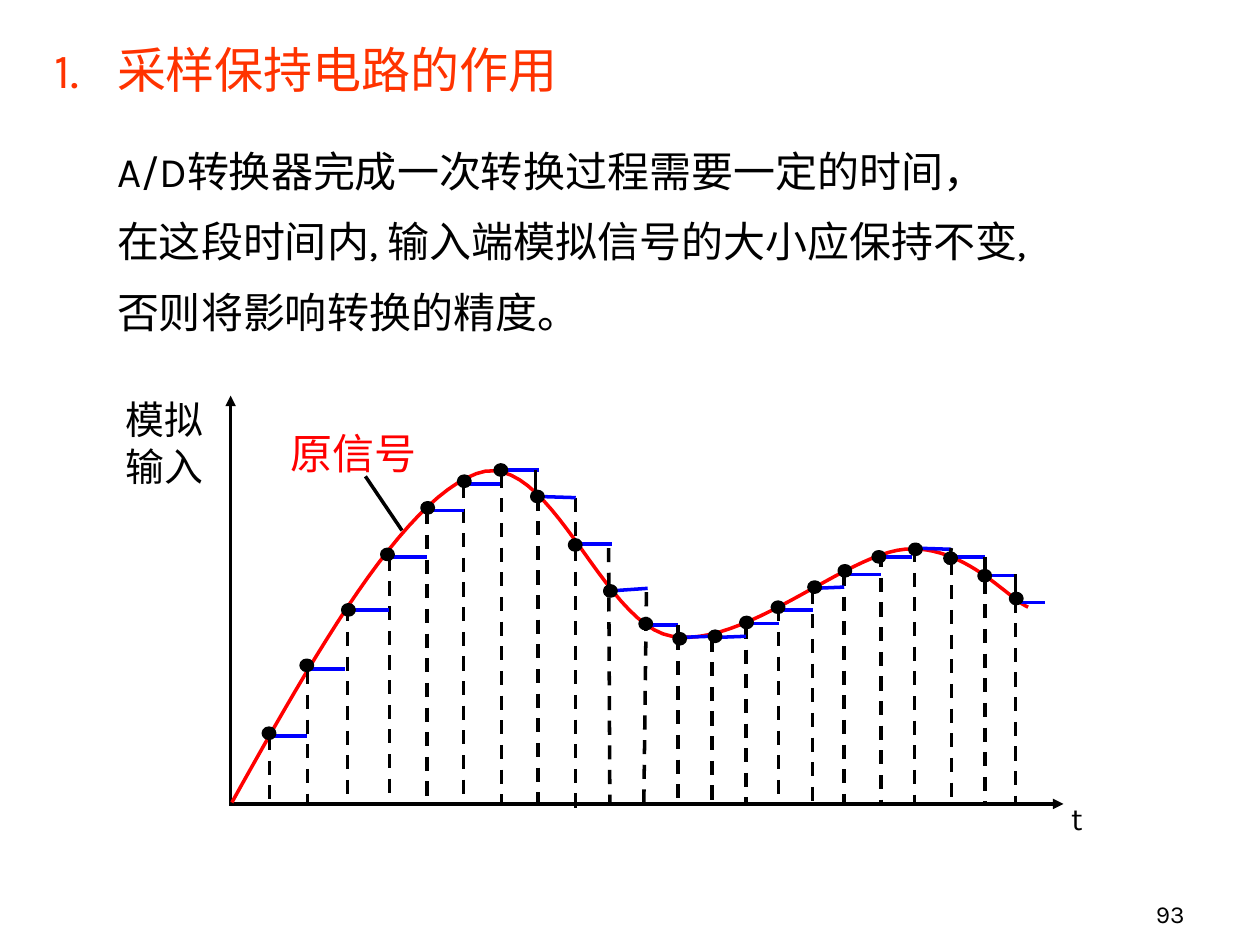
from lxml.etree import SubElement
from pptx import Presentation
from pptx.dml.color import RGBColor
from pptx.enum.dml import MSO_LINE
from pptx.enum.shapes import MSO_CONNECTOR, MSO_SHAPE
from pptx.enum.text import MSO_ANCHOR, PP_ALIGN
from pptx.oxml.ns import qn
from pptx.util import Pt

BLACK = RGBColor(0, 0, 0)
ORANGE = RGBColor(0xFF, 0x33, 0x00)
RED = RGBColor(0xFF, 0, 0)
BLUE = RGBColor(0, 0, 0xFF)
FONT = "Karla"
DOT_W, DOT_H = 6.5, 5.8

# Each sample: dot centre, dashed drop line, held level (lines as x1, y1, x2, y2)
SAMPLES = [
    ((153.7, 419.0), (154.1, 420.5, 154.1, 459.4), (154.1, 420.5, 175.7, 420.5)),
    ((175.3, 380.2), (175.7, 383.0, 175.7, 459.4), (174.2, 382.3, 197.3, 382.3)),
    ((199.1, 348.5), (198.7, 347.0, 198.7, 459.4), (198.7, 348.5, 222.5, 348.5)),
    ((221.4, 316.8), (222.5, 318.2, 222.5, 458.6), (221.0, 318.2, 244.1, 318.2)),
    ((244.4, 290.2), (244.1, 291.6, 244.1, 458.6), (244.1, 291.6, 265.0, 291.6)),
    ((265.3, 275.0), (265.0, 276.5, 265.0, 458.6), (265.0, 276.5, 285.8, 276.5)),
    ((286.2, 268.6), (286.6, 270.7, 286.6, 458.6), (286.6, 268.6, 308.2, 268.6)),
    ((307.1, 283.7), (307.4, 283.7, 307.4, 459.4), (307.4, 283.7, 329.0, 284.4)),
    ((328.7, 311.4), (329.0, 284.4, 329.0, 461.5), (329.0, 311.0, 349.9, 311.0)),
    ((348.8, 337.7), (347.8, 313.2, 348.5, 459.4), (348.5, 337.7, 370.1, 336.2)),
    ((369.0, 356.4), (369.4, 338.4, 367.9, 461.5), (367.9, 357.1, 387.4, 357.1)),
    ((388.4, 365.0), (387.4, 363.6, 387.4, 457.2), (387.4, 364.3, 406.1, 363.6)),
    ((408.6, 363.6), (406.8, 364.3, 406.8, 458.6), (408.2, 364.3, 426.2, 363.6)),
    ((426.6, 355.7), (426.2, 357.1, 426.2, 458.6), (426.2, 356.4, 445.0, 356.4)),
    ((444.6, 347.0), (445.0, 347.0, 445.0, 457.2), (443.5, 348.5, 464.4, 348.5)),
    ((465.5, 335.5), (464.4, 337.0, 464.4, 458.6), (465.1, 336.2, 482.4, 335.5)),
    ((482.8, 326.2), (482.4, 326.9, 482.4, 459.4), (481.7, 328.3, 503.3, 328.3)),
    ((502.2, 318.2), (503.3, 316.1, 503.3, 459.4), (502.6, 318.2, 521.3, 318.2)),
    ((523.1, 313.9), (522.7, 313.2, 522.7, 459.4), (522.7, 313.2, 543.6, 313.9)),
    ((543.2, 319.0), (543.6, 320.4, 543.6, 458.6), (543.6, 318.2, 563.0, 318.2)),
    ((562.7, 329.0), (563.0, 331.2, 563.0, 458.6), (561.6, 329.0, 581.0, 329.0)),
    ((580.7, 342.0), (580.3, 342.0, 580.3, 458.6), (581.0, 344.2, 596.9, 344.2)),
]
STEPS = [
    (306.0, 268.6, 306.0, 284.4),
    (387.4, 357.1, 387.4, 365.8),
    (563.0, 318.2, 563.0, 329.0),
    (543.6, 313.2, 542.2, 322.6),
    (580.3, 328.3, 580.3, 342.7),
]
AXES = [(131, 459.4, 607.7, 459.4), (131.8, 458.6, 131.8, 226.1)]
LEADER = (208.8, 272.2, 229.7, 303.1)

SIGNAL_START = (132.5, 458.6)
SIGNAL_CURVES = [  # two control points and an end point each
    ((180.7, 372.2), (229.7, 286.6), (272.2, 270.7)),
    ((313.9, 254.9), (343.4, 356.4), (383.8, 363.6)),
    ((424.8, 370.8), (483.1, 316.8), (517.0, 313.9)),
    ((550.8, 311.0), (576.0, 342.0), (587.5, 347.0)),
]
CURVE_STEPS = 24


def add_line(ends, color=BLACK):
    s = shapes.add_connector(MSO_CONNECTOR.STRAIGHT, *[Pt(v) for v in ends])
    s.line.color.rgb = color
    s.line.width = Pt(2)
    SubElement(s._element.spPr, qn("a:effectLst"))
    return s


def add_text(box, lines, inset=(0, 0), align=PP_ALIGN.LEFT):
    """Add a text box; each line is (text, size, colour)."""
    tf = shapes.add_textbox(*[Pt(v) for v in box]).text_frame
    tf.word_wrap = True
    tf.margin_left = tf.margin_right = Pt(inset[0])
    tf.margin_top = tf.margin_bottom = Pt(inset[1])
    for i, (text, size, color) in enumerate(lines):
        p = tf.add_paragraph() if i else tf.paragraphs[0]
        p.alignment = align
        r = p.add_run()
        r.text = text
        r.font.name = FONT
        r.font.size = Pt(size)
        r.font.color.rgb = color
    return tf


prs = Presentation()
prs.slide_width, prs.slide_height = Pt(720), Pt(540)
shapes = prs.slides.add_slide(prs.slide_layouts[6]).shapes

# Page number
tf = add_text((534.2, 498.2, 149.8, 36), [("93", 14, BLACK)], (7.2, 3.6), PP_ALIGN.RIGHT)
tf.vertical_anchor = MSO_ANCHOR.BOTTOM

# Heading and explanation
tf = add_text((23.8, 5.8, 635.8, 190), [
    ("1.\t采样保持电路的作用", 28, ORANGE),
    ("A/D转换器完成一次转换过程需要一定的时间，", 24, BLACK),
    ("在这段时间内, 输入端模拟信号的大小应保持不变,", 24, BLACK),
    ("否则将影响转换的精度。", 24, BLACK),
], (7.2, 3.6))
for p in tf.paragraphs:
    p.line_spacing = 1.4
heading, *body = tf.paragraphs
tabs = SubElement(heading._p.get_or_add_pPr(), qn("a:tabLst"))
SubElement(tabs, qn("a:tab"), pos=str(Pt(36)), algn="l")
for p in body:
    p.level = 1
    p._p.get_or_add_pPr().set("marL", str(Pt(36)))
    p._p.get_or_add_pPr().set("indent", "0")
body[0].space_before = Pt(15)

# Axes
for ends in AXES:
    s = add_line(ends)
    SubElement(s.line._get_or_add_ln(), qn("a:tailEnd"), type="triangle")

# Original signal, sampled along its Bezier curves
points = []
start = SIGNAL_START
for c1, c2, end in SIGNAL_CURVES:
    for step in range(1, CURVE_STEPS + 1):
        t = step / CURVE_STEPS
        u = 1 - t
        points.append(tuple(
            Pt(u**3 * a + 3 * u * u * t * b + 3 * u * t * t * c + t**3 * d)
            for a, b, c, d in zip(start, c1, c2, end)))
    start = end
builder = shapes.build_freeform(*[Pt(v) for v in SIGNAL_START])
builder.add_line_segments(points, close=False)
sp = builder.convert_to_shape()
sp.shadow.inherit = False
sp.fill.background()
sp.line.color.rgb = RED
sp.line.width = Pt(2)

# Sampling instants, held levels and steps
for _, drop, _ in SAMPLES:
    add_line(drop).line.dash_style = MSO_LINE.DASH
for _, _, hold in SAMPLES:
    add_line(hold, BLUE)
for ends in STEPS:
    add_line(ends)

# Labels
add_text((612, 456.5, 23.8, 23.8), [("t", 18.2, BLACK)])
add_text((72, 226.1, 52.6, 54), [("模拟", 22.2, BLACK), ("输入", 22.2, BLACK)])
add_line(LEADER)
add_text((166.3, 244.1, 81.4, 30.2), [("原信号", 24, RED)])

# Sample dots
for (x, y), _, _ in SAMPLES:
    sp = shapes.add_shape(MSO_SHAPE.OVAL, Pt(x - DOT_W / 2), Pt(y - DOT_H / 2),
                          Pt(DOT_W), Pt(DOT_H))
    sp.shadow.inherit = False
    sp.fill.solid()
    sp.fill.fore_color.rgb = BLACK
    sp.line.color.rgb = BLACK
    sp.line.width = Pt(2)

prs.save("out.pptx")
